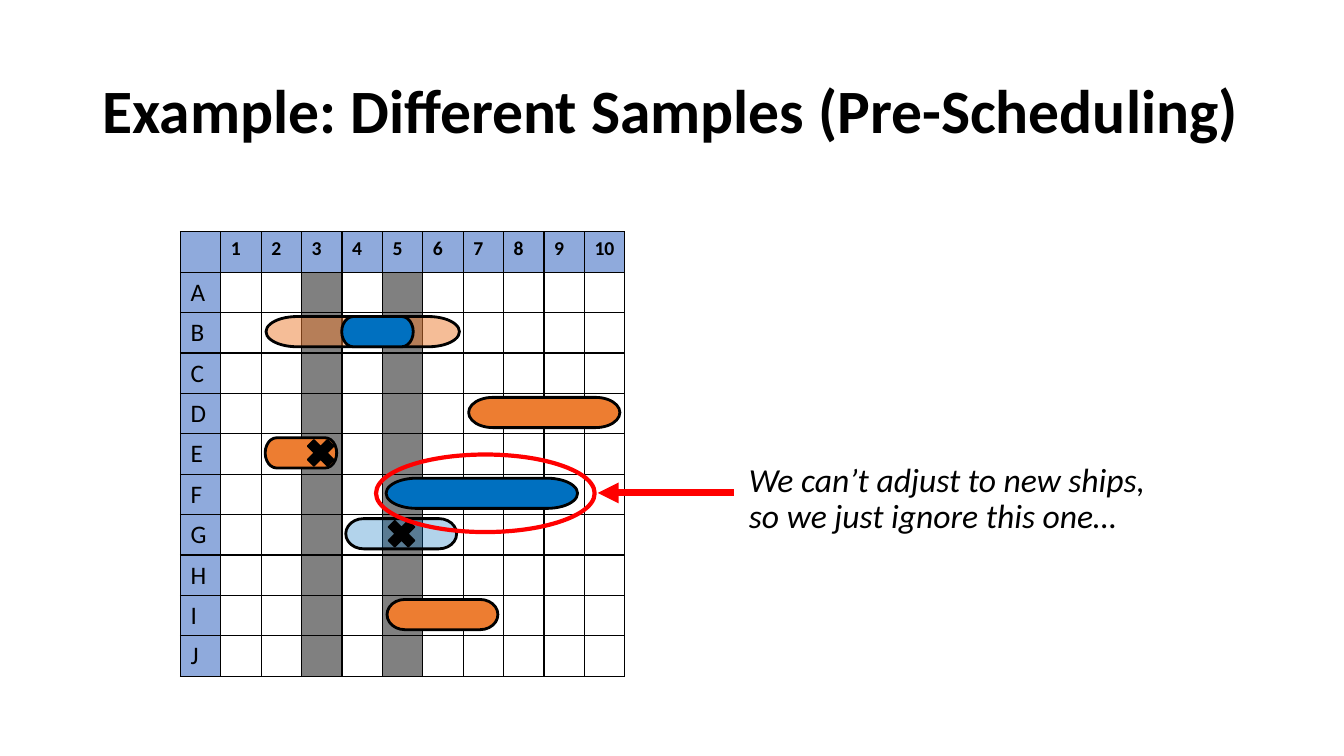
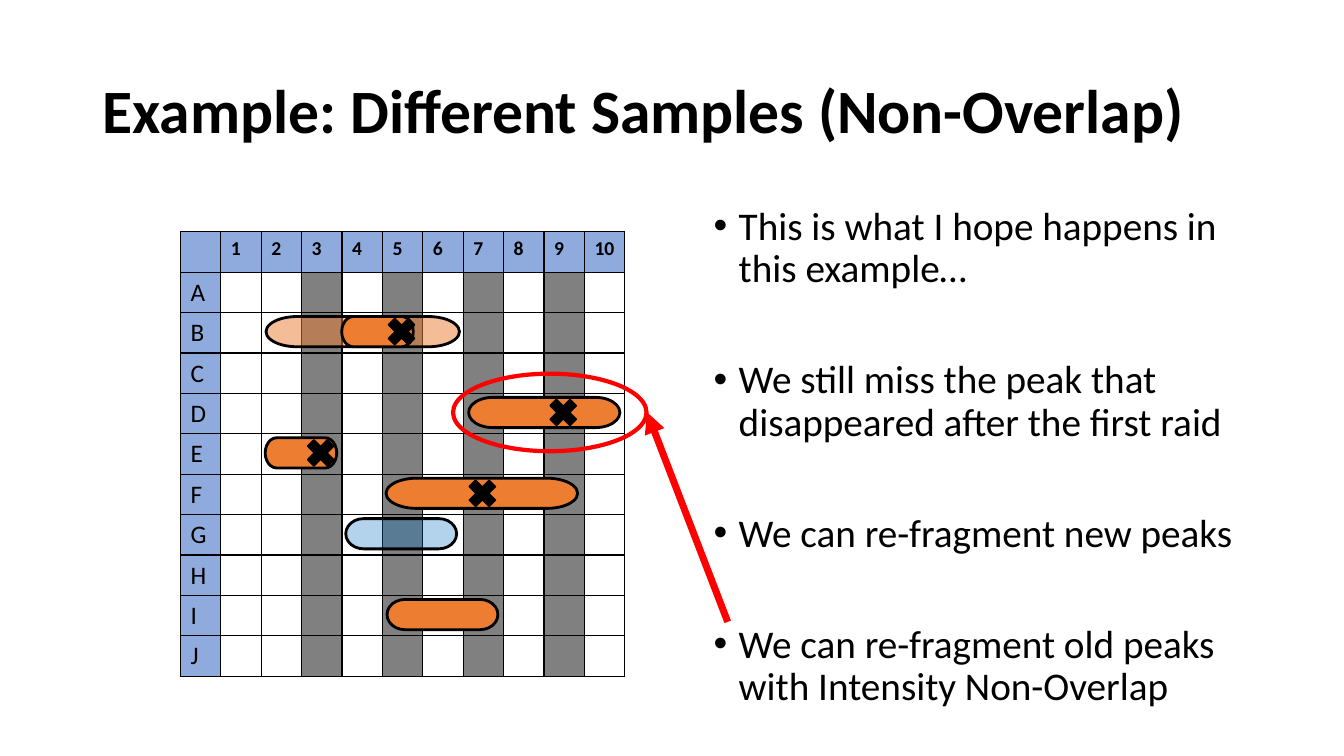
from lxml.etree import SubElement
from pptx import Presentation
from pptx.dml.color import RGBColor
from pptx.enum.shapes import MSO_CONNECTOR, MSO_SHAPE
from pptx.enum.text import MSO_ANCHOR
from pptx.oxml import parse_xml
from pptx.oxml.ns import nsdecls, qn
from pptx.util import Pt

BLACK = RGBColor(0x00, 0x00, 0x00)
WHITE = RGBColor(0xFF, 0xFF, 0xFF)
HEADER_BLUE = RGBColor(0x8F, 0xAA, 0xDC)
SHOT_GRAY = RGBColor(0x80, 0x80, 0x80)
BLUE = RGBColor(0x00, 0x70, 0xC0)
ORANGE = RGBColor(0xED, 0x7D, 0x31)
RED = RGBColor(0xFF, 0x00, 0x00)
FONT = "Calibri"

ROWS = "ABCDEFGHIJ"
COLUMNS = 10
GRID_LEFT, GRID_TOP, CELL = 128.9, 165.6, 28.87
CELL_MIDDLE = 0.47
SHIP_HEIGHT = 21.6
MARK_SIZE = 27.4
RING_HEIGHT = 55.4

# Ships: row, left, width, colour, opacity in percent.
# A colour of None takes the slide's own colour for new ships.
SHIPS = [
    ("G", 247, 79.2, BLUE, 30),
    ("D", 334.8, 108, ORANGE, 100),
    ("I", 276.5, 79.2, ORANGE, 100),
    ("B", 190, 138.2, ORANGE, 50),
    ("F", 275.8, 136.8, None, 100),
    ("E", 189.4, 51.1, ORANGE, 100),
    ("B", 244.1, 51.1, None, 100),
]

SLIDES = [
    {
        "title": "Example: Different Samples (Pre-Scheduling)",
        "shot_columns": (3, 5),
        "new_ship_color": BLUE,
        "marks": [("E", 3), ("G", 5)],
        "ring": {"row": "F", "left": 268.6, "width": 156.2},
        "arrow": ((524.2, 352.1), (427, 352.1)),
        "text": ["We can’t adjust to new ships, so we just ignore this one…"],
        "text_area": (527.8, 327.6, 317.5, 69.8),
        "text_size": 24,
        "bullets": False,
    },
    {
        "title": "Example: Different Samples (Non-Overlap)",
        "shot_columns": (3, 5, 7, 9),
        "new_ship_color": ORANGE,
        "marks": [("E", 3), ("B", 5), ("F", 7), ("D", 9)],
        "ring": {"row": "D", "left": 323.6, "width": 138.2},
        "arrow": ((519.8, 444.2), (462.2, 294.5)),
        "text": [
            "This is what I hope happens in this example…",
            "We still miss the peak that disappeared after the first raid",
            "We can re-fragment new peaks",
            "We can re-fragment old peaks with Intensity Non-Overlap",
        ],
        "text_area": (502.6, 144, 391.7, 375.1),
        "text_size": 28,
        "bullets": True,
    },
]


def row_middle(row):
    return GRID_TOP + (ROWS.index(row) + 1 + CELL_MIDDLE) * CELL


def column_middle(column):
    return GRID_LEFT + (column + CELL_MIDDLE) * CELL


def style_runs(paragraph, size, bold=False, italic=False):
    for run in paragraph.runs:
        font = run.font
        font.name, font.size = FONT, Pt(size)
        font.bold, font.italic = bold, italic
        font.color.rgb = BLACK


def add_text(slide, area, lines, size, bold=False, italic=False,
             bullets=False, anchor=MSO_ANCHOR.TOP):
    text_frame = slide.shapes.add_textbox(*map(Pt, area)).text_frame
    text_frame.word_wrap = True
    text_frame.vertical_anchor = anchor
    text_frame.text = "\n".join(lines)
    for index, paragraph in enumerate(text_frame.paragraphs):
        paragraph.line_spacing = 0.9
        if index:
            paragraph.space_before = Pt(49)
        if bullets:
            properties = paragraph._p.get_or_add_pPr()
            properties.set("marL", str(Pt(18)))
            properties.set("indent", str(Pt(-18)))
            SubElement(properties, qn("a:buFont")).set("typeface", "Arial")
            SubElement(properties, qn("a:buChar")).set("char", "•")
        style_runs(paragraph, size, bold, italic)


def add_borders(cell):
    properties = cell._tc.get_or_add_tcPr()
    for index, side in enumerate(("lnL", "lnR", "lnT", "lnB")):
        properties.insert(index, parse_xml(
            f'<a:{side} {nsdecls("a")} w="{Pt(1)}"><a:solidFill>'
            f'<a:srgbClr val="{BLACK}"/></a:solidFill></a:{side}>'))


def add_grid(slide, shot_columns):
    row_count, column_count = len(ROWS) + 1, COLUMNS + 1
    table = slide.shapes.add_table(
        row_count, column_count, Pt(GRID_LEFT), Pt(GRID_TOP),
        Pt(column_count * CELL), Pt(row_count * CELL)).table
    table.first_row = table.horz_banding = False
    for column in table.columns:
        column.width = Pt(CELL)
    for row in table.rows:
        row.height = Pt(CELL)
    for row in range(row_count):
        for column in range(column_count):
            cell = table.cell(row, column)
            if row == 0 or column == 0:
                color = HEADER_BLUE
            else:
                color = SHOT_GRAY if column in shot_columns else WHITE
            cell.fill.solid()
            cell.fill.fore_color.rgb = color
            add_borders(cell)
            if row == 0 and column:
                cell.text = str(column)
                style_runs(cell.text_frame.paragraphs[0], 14, bold=True)
            elif row and column == 0:
                cell.text = ROWS[row - 1]
                style_runs(cell.text_frame.paragraphs[0], 18)


def add_outlined(slide, preset, left, middle, width, height, line_color,
                 line_width, fill=None, opacity=100):
    """Add a preset shape centred vertically on middle; no fill if None."""
    shape = slide.shapes.add_shape(preset, Pt(left), Pt(middle - height / 2),
                                   Pt(width), Pt(height))
    shape.shadow.inherit = False
    shape.line.color.rgb = line_color
    shape.line.width = Pt(line_width)
    if fill is None:
        shape.fill.background()
        return
    shape.fill.solid()
    shape.fill.fore_color.rgb = fill
    if opacity < 100:
        color = shape._element.spPr.find(qn("a:solidFill")).find(qn("a:srgbClr"))
        SubElement(color, qn("a:alpha")).set("val", str(opacity * 1000))


def add_arrow(slide, start, end):
    arrow = slide.shapes.add_connector(MSO_CONNECTOR.STRAIGHT,
                                       *map(Pt, start + end))
    arrow.line.color.rgb = RED
    arrow.line.width = Pt(5)
    SubElement(arrow.line._get_or_add_ln(), qn("a:tailEnd")).set("type", "triangle")
    SubElement(arrow._element.spPr, qn("a:effectLst"))


def build_slide(presentation, content):
    slide = presentation.slides.add_slide(presentation.slide_layouts[6])
    add_text(slide, (66.2, 28.8, 828, 104.4), [content["title"]], 44,
             bold=True, anchor=MSO_ANCHOR.MIDDLE)
    add_grid(slide, content["shot_columns"])
    for row, left, width, color, opacity in SHIPS:
        add_outlined(slide, MSO_SHAPE.FLOWCHART_TERMINATOR, left,
                     row_middle(row), width, SHIP_HEIGHT, BLACK, 2,
                     color or content["new_ship_color"], opacity)
    for row, column in content["marks"]:
        add_outlined(slide, MSO_SHAPE.MATH_MULTIPLY,
                     column_middle(column) - MARK_SIZE / 2, row_middle(row),
                     MARK_SIZE, MARK_SIZE, BLACK, 1, BLACK)
    add_text(slide, content["text_area"], content["text"],
             content["text_size"], italic=not content["bullets"],
             bullets=content["bullets"])
    ring = content["ring"]
    add_outlined(slide, MSO_SHAPE.OVAL, ring["left"], row_middle(ring["row"]),
                 ring["width"], RING_HEIGHT, RED, 3)
    add_arrow(slide, *content["arrow"])


def main():
    presentation = Presentation()
    presentation.slide_width, presentation.slide_height = Pt(960), Pt(540)
    for content in SLIDES:
        build_slide(presentation, content)
    presentation.save("out.pptx")


if __name__ == "__main__":
    main()
